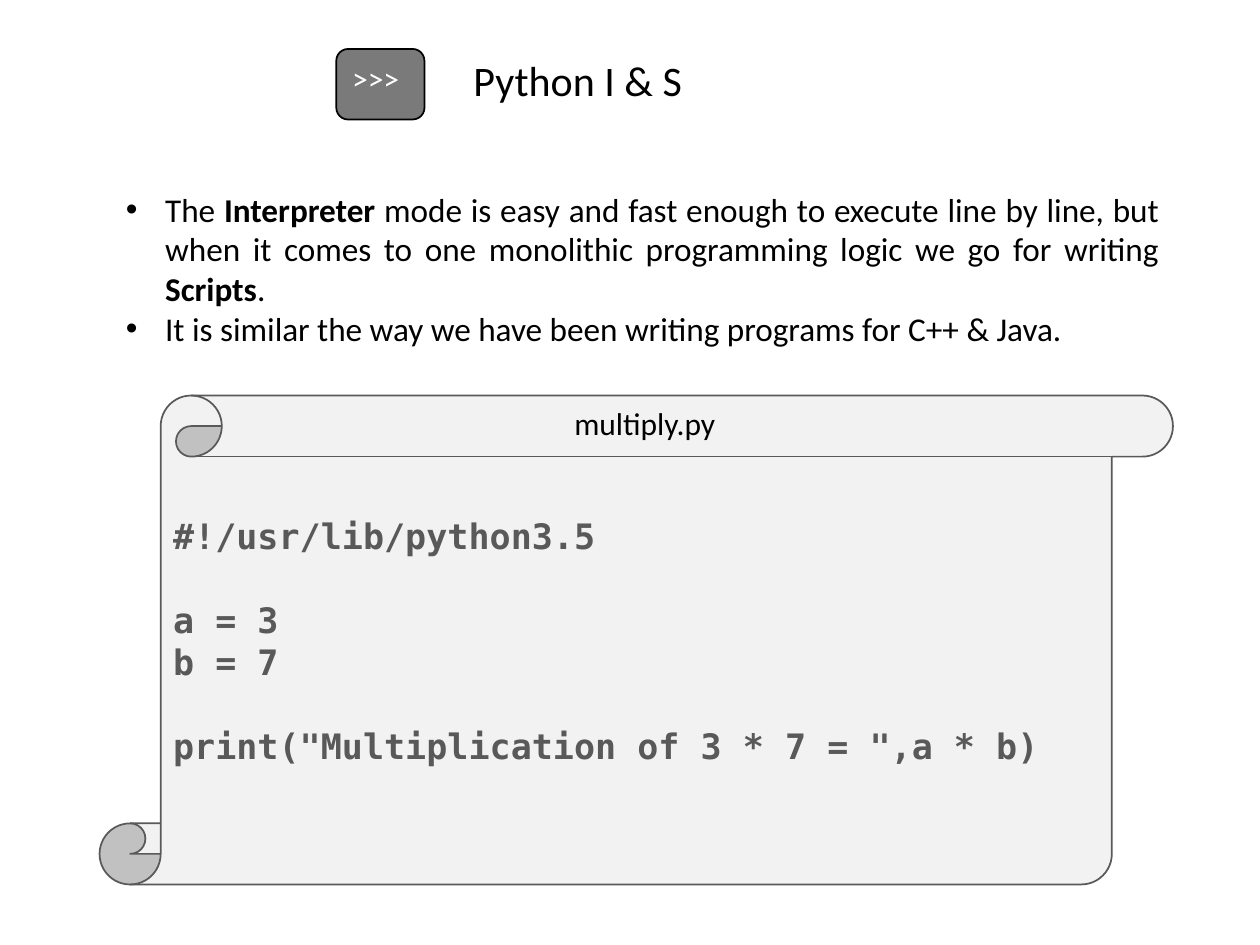
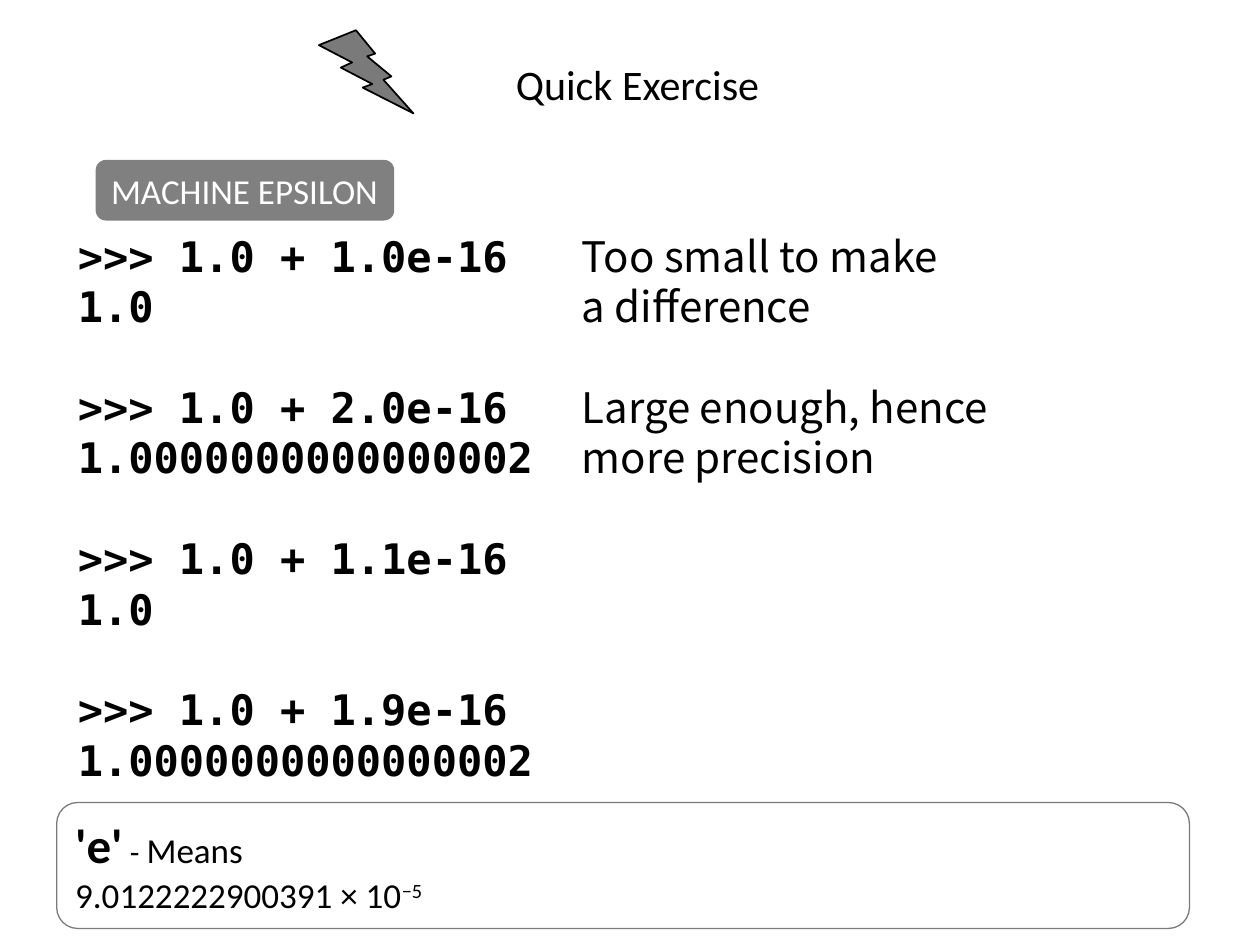
from lxml.etree import SubElement
from pptx import Presentation
from pptx.dml.color import RGBColor
from pptx.enum.shapes import MSO_SHAPE as Preset
from pptx.enum.text import MSO_ANCHOR as Anchor, PP_ALIGN as Align
from pptx.oxml.ns import qn
from pptx.util import Pt

SANS, MONO, REMARK = "Calibri", "DejaVu Sans Mono", "Noto Sans CJK SC"
BLACK, WHITE, ICON_GREY, BADGE_GREY = "000000", "FFFFFF", "7A7A7A", "808080"
SCROLL_GREY, CODE_GREY = "F2F2F2", "595959"
TITLE_SIZE = 24


def color(hex_code):
    return RGBColor.from_string(hex_code)


def prepare(frame, wrap=True, inset_top=3.6):
    frame.word_wrap = wrap
    frame.vertical_anchor = Anchor.TOP
    frame.margin_left = frame.margin_right = Pt(7.2)
    frame.margin_top, frame.margin_bottom = Pt(inset_top), Pt(3.6)
    return frame


def add_text(slide, left, top, width, height, **frame_style):
    box = slide.shapes.add_textbox(Pt(left), Pt(top), Pt(width), Pt(height))
    return prepare(box.text_frame, **frame_style)


def add_preset(slide, preset, left, top, width, height, fill=None, line=None,
               line_width=1, **frame_style):
    shape = slide.shapes.add_shape(preset, Pt(left), Pt(top), Pt(width), Pt(height))
    shape.shadow.inherit = False
    if fill:
        shape.fill.solid()
        shape.fill.fore_color.rgb = color(fill)
    else:
        shape.fill.background()
    if line:
        shape.line.color.rgb = color(line)
        shape.line.width = Pt(line_width)
    else:
        shape.line.fill.background()
    return prepare(shape.text_frame, **frame_style)


def style_run(run, size, font=SANS, ink=BLACK, bold=False):
    run.font.size, run.font.name, run.font.bold = Pt(size), font, bold
    run.font.color.rgb = color(ink)


def write_line(frame, text, size, align=Align.LEFT, **run_style):
    frame.text = text
    frame.paragraphs[0].alignment = align
    style_run(frame.paragraphs[0].runs[0], size, **run_style)


def paragraphs_for(frame, items):
    for index, item in enumerate(items):
        yield (frame.add_paragraph() if index else frame.paragraphs[0]), item


def add_run(paragraph, text, size, **run_style):
    run = paragraph.add_run()
    run.text = text
    style_run(run, size, **run_style)
    return run


def add_title(slide, text, left, top, width, align=Align.LEFT):
    write_line(add_text(slide, left, top, width, 36), text, TITLE_SIZE, align)


def write_bullets(frame, bullets, size, hang):
    for paragraph, pieces in paragraphs_for(frame, bullets):
        paragraph.alignment = Align.JUSTIFY
        properties = paragraph._p.get_or_add_pPr()
        properties.set("marL", str(Pt(hang)))
        properties.set("indent", str(-Pt(hang)))
        SubElement(properties, qn("a:buFont"), typeface="Arial")
        SubElement(properties, qn("a:buChar"), char="•")
        for position, piece in enumerate(pieces):
            add_run(paragraph, piece, size, bold=position % 2 == 1)


def write_code(frame, blocks, size, pitch, ink=BLACK, remark_at=None):
    lines = [(line, number > 0 and row == 0)
             for number, block in enumerate(blocks)
             for row, line in enumerate(block)]
    for paragraph, ((code, remark), opens_block) in paragraphs_for(frame, lines):
        paragraph.alignment = Align.LEFT
        if remark:
            stops = SubElement(paragraph._p.get_or_add_pPr(), qn("a:tabLst"))
            SubElement(stops, qn("a:tab"), pos=str(Pt(remark_at)), algn="l")
        paragraph.line_spacing = Pt(pitch)
        if opens_block:
            paragraph.space_before = Pt(pitch)
        add_run(paragraph, code + ("\t" if remark else ""), size,
                font=MONO, ink=ink, bold=True)
        if remark:
            add_run(paragraph, remark, size, font=REMARK)


def build_script_slide(slide):
    modes = add_text(slide, 64.8, 104.4, 604.8, 98.6)
    write_bullets(modes, [
        ["The ", "Interpreter",
         " mode is easy and fast enough to execute line by line, but when it "
         "comes to one monolithic programming logic we go for writing ",
         "Scripts", "."],
        ["It is similar the way we have been writing programs for C++ & Java."],
    ], size=19, hang=22.5)

    prompt = add_preset(slide, Preset.ROUNDED_RECTANGLE, 192.2, 28, 50.4, 40.3,
                        fill=ICON_GREY, line=BLACK)
    write_line(prompt, ">>>", 18, ink=WHITE)
    add_title(slide, "Python I & S", 263.5, 27.4, 249)

    scroll = add_preset(slide, Preset.VERTICAL_SCROLL, 56.9, 226, 613.4, 279.4,
                        fill=SCROLL_GREY, line=CODE_GREY, inset_top=33)
    write_code(scroll, [
        [("#!/usr/lib/python3.5", "")],
        [("a = 3", ""), ("b = 7", "")],
        [('print("Multiplication of 3 * 7 = ",a * b)', "")],
    ], size=20, pitch=24, ink=CODE_GREY)
    file_name = add_text(slide, 321.1, 227.5, 96.5, 28.8, wrap=False)
    write_line(file_name, "multiply.py", 18)


def build_exercise_slide(slide):
    session = add_text(slide, 37.4, 126, 632.9, 324, inset_top=5.6)
    write_code(session, [
        [(">>> 1.0 + 1.0e-16", "Too small to make"), ("1.0", "a difference")],
        [(">>> 1.0 + 2.0e-16", "Large enough, hence"),
         ("1.0000000000000002", "more precision")],
        [(">>> 1.0 + 1.1e-16", ""), ("1.0", "")],
        [(">>> 1.0 + 1.9e-16", ""), ("1.0000000000000002", "")],
    ], size=24, pitch=28.8, remark_at=288)

    add_preset(slide, Preset.LIGHTNING_BOLT, 182.2, 17.3, 54, 47.5,
               fill=ICON_GREY, line=BLACK)
    add_title(slide, "Quick Exercise", 265, 30.2, 198.7, Align.CENTER)

    notation = add_preset(slide, Preset.ROUNDED_RECTANGLE, 32.4, 458.6, 647.3, 72,
                          line=ICON_GREY, line_width=0.75)
    meaning, example = notation.paragraphs[0], notation.add_paragraph()
    meaning.alignment = example.alignment = Align.LEFT
    add_run(meaning, "'e'", 28, bold=True)
    add_run(meaning, " ", 18, bold=True)
    add_run(meaning, "- ", 18)
    add_run(meaning, "Means", 20)
    add_run(example, "9.0122222900391 × 10", 20)
    exponent = add_run(example, "−5", 20)
    exponent._r.get_or_add_rPr().set("baseline", "30000")

    badge = add_preset(slide, Preset.ROUNDED_RECTANGLE, 54.7, 91.4, 170.6, 34.6,
                       fill=BADGE_GREY, wrap=False)
    write_line(badge, "MACHINE EPSILON", 20, ink=WHITE)


def main():
    deck = Presentation()
    deck.slide_width, deck.slide_height = Pt(720), Pt(540)
    blank = deck.slide_layouts[6]
    for build in (build_script_slide, build_exercise_slide):
        build(deck.slides.add_slide(blank))
    deck.save("out.pptx")


if __name__ == "__main__":
    main()
